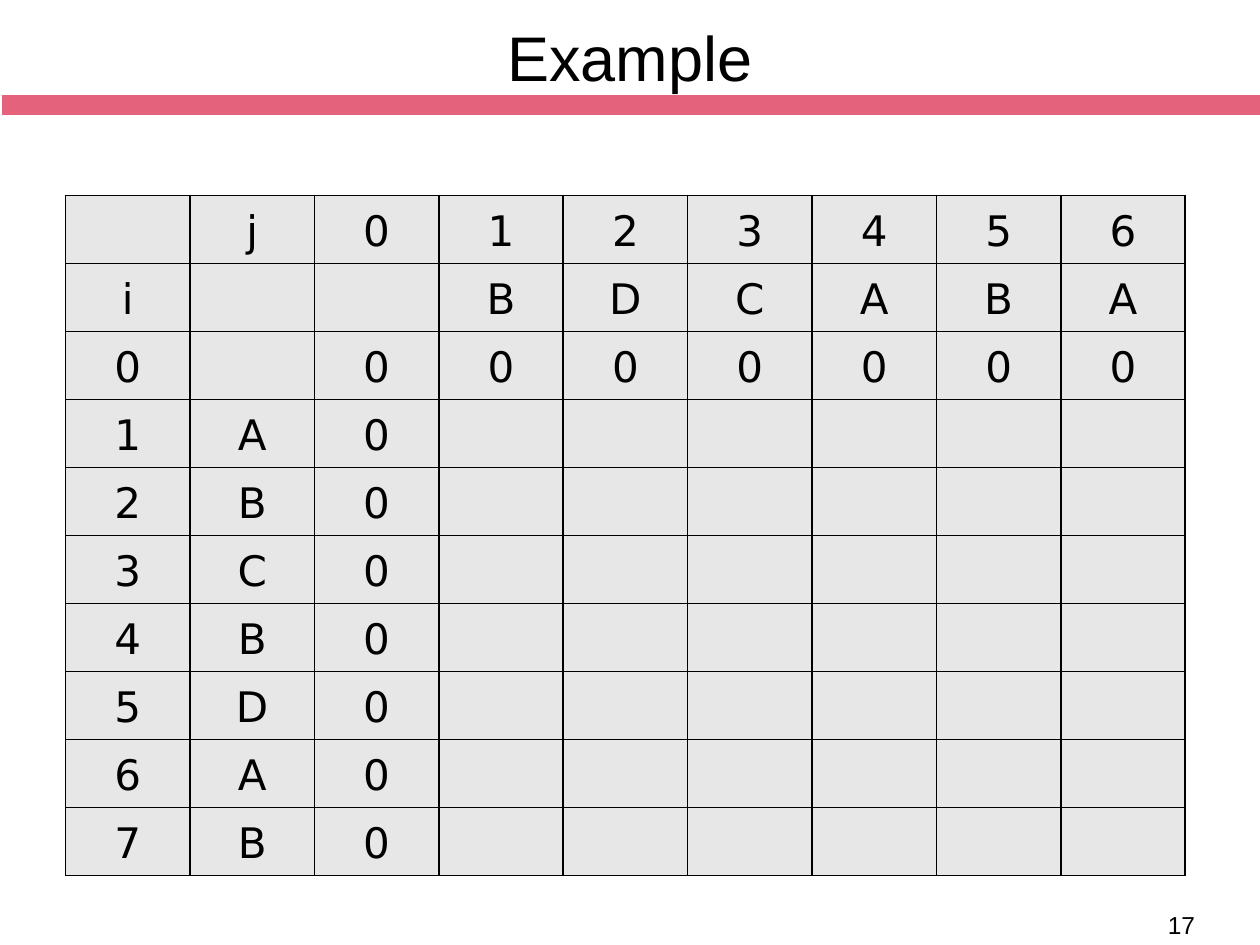
from pptx import Presentation
from pptx.dml.color import RGBColor
from pptx.enum.shapes import MSO_SHAPE
from pptx.enum.text import MSO_ANCHOR, PP_ALIGN
from pptx.oxml import parse_xml
from pptx.oxml.ns import nsdecls
from pptx.util import Inches, Pt

RECTANGLE = MSO_SHAPE.RECTANGLE
MIDDLE = MSO_ANCHOR.MIDDLE
CENTER = PP_ALIGN.CENTER
LEFT = PP_ALIGN.LEFT
TITLE_ONLY = 5
BLACK, WHITE, ROSE, GRAY = "000000", "FFFFFF", "E4627B", "E7E7E7"


def color(value):
    """Turn a hex string into a colour."""
    return RGBColor.from_string(value)


class SlideBuilder:
    """Hold the style and the current slide."""

    heading_font = "Arial"
    table_font = "DejaVu Sans"

    def __init__(self, presentation):
        """Add a title-only slide."""
        layout = presentation.slide_layouts[TITLE_ONLY]
        self.slide = presentation.slides.add_slide(layout)
        self.shapes = self.slide.shapes

    def format(self, paragraph, font_name, size, alignment):
        """Style a whole paragraph."""
        paragraph.alignment = alignment
        paragraph.font.name = font_name
        paragraph.font.size = Pt(size)
        paragraph.font.color.rgb = color(BLACK)

    def title(self, text, left, top, width, height):
        """Fill and place the title placeholder."""
        title = self.shapes.title
        title.left, title.top = Inches(left), Inches(top)
        title.width, title.height = Inches(width), Inches(height)
        title.text_frame.text = text
        title.text_frame.vertical_anchor = MIDDLE
        self.format(title.text_frame.paragraphs[0], self.heading_font, 36, CENTER)

    def bar(self, left, top, width, height):
        """Draw the coloured bar behind the title."""
        bar = self.shapes.add_shape(
            RECTANGLE, Inches(left), Inches(top), Inches(width), Inches(height))
        bar.shadow.inherit = False
        bar.fill.solid()
        bar.fill.fore_color.rgb = color(ROSE)
        bar.line.color.rgb = color(WHITE)
        bar.line.width = Pt(1)
        self.shapes.title.element.addprevious(bar.element)

    def page_number(self, text, left, top, width, height):
        """Write the page number."""
        box = self.shapes.add_textbox(
            Inches(left), Inches(top), Inches(width), Inches(height))
        box.text_frame.word_wrap = True
        box.text_frame.text = text
        self.format(box.text_frame.paragraphs[0], self.heading_font, 14, LEFT)

    def table(self, rows, left, top, width, height):
        """Add an evenly divided table."""
        table = self.shapes.add_table(
            len(rows), len(rows[0]), Inches(left), Inches(top),
            Inches(width), Inches(height)).table
        table.first_row = table.horz_banding = False
        for row_index, row in enumerate(rows):
            for column_index, text in enumerate(row):
                self.cell(table.cell(row_index, column_index), text)

    def cell(self, cell, text):
        """Fill, border and write one table cell."""
        cell.text = text
        cell.vertical_anchor = MIDDLE
        cell.margin_left = cell.margin_right = Inches(0.09)
        cell.margin_top = cell.margin_bottom = Inches(0.05)
        paragraph = cell.text_frame.paragraphs[0]
        self.format(paragraph, self.table_font, 24, CENTER)
        paragraph.line_spacing = 1.1
        paragraph.space_before = paragraph.space_after = Pt(6)
        properties = cell._tc.get_or_add_tcPr()
        for side in ("lnL", "lnR", "lnT", "lnB"):
            properties.append(parse_xml(
                f'<a:{side} {nsdecls("a")} w="{Pt(1)}"><a:solidFill>'
                f'<a:srgbClr val="{BLACK}"/></a:solidFill></a:{side}>'))
        cell.fill.solid()
        cell.fill.fore_color.rgb = color(GRAY)


def lcs_rows(across, down):
    """Lay out the starting grid for two sequences."""
    blanks = [""] * len(across)
    numbers = [str(number) for number in range(len(across) + 1)]
    rows = [["", "j", *numbers], ["i", "", "", *across],
            ["0", "", *("0" for number in numbers)]]
    for number, letter in enumerate(down, 1):
        rows.append([str(number), letter, "0", *blanks])
    return rows


def main():
    """Build and save the slide."""
    presentation = Presentation()
    presentation.slide_width = Inches(10)
    presentation.slide_height = Inches(7.5)
    builder = SlideBuilder(presentation)
    builder.bar(0.01, 0.75, 10, 0.17)
    builder.title("Example", 0.29, 0.03, 9.42, 0.84)
    builder.table(lcs_rows("BDCABA", "ABCBDAB"), 0.52, 1.55, 8.89, 5.4)
    builder.page_number("17", 9.17, 7.17, 0.57, 0.33)
    presentation.save("out.pptx")


if __name__ == "__main__":
    main()
